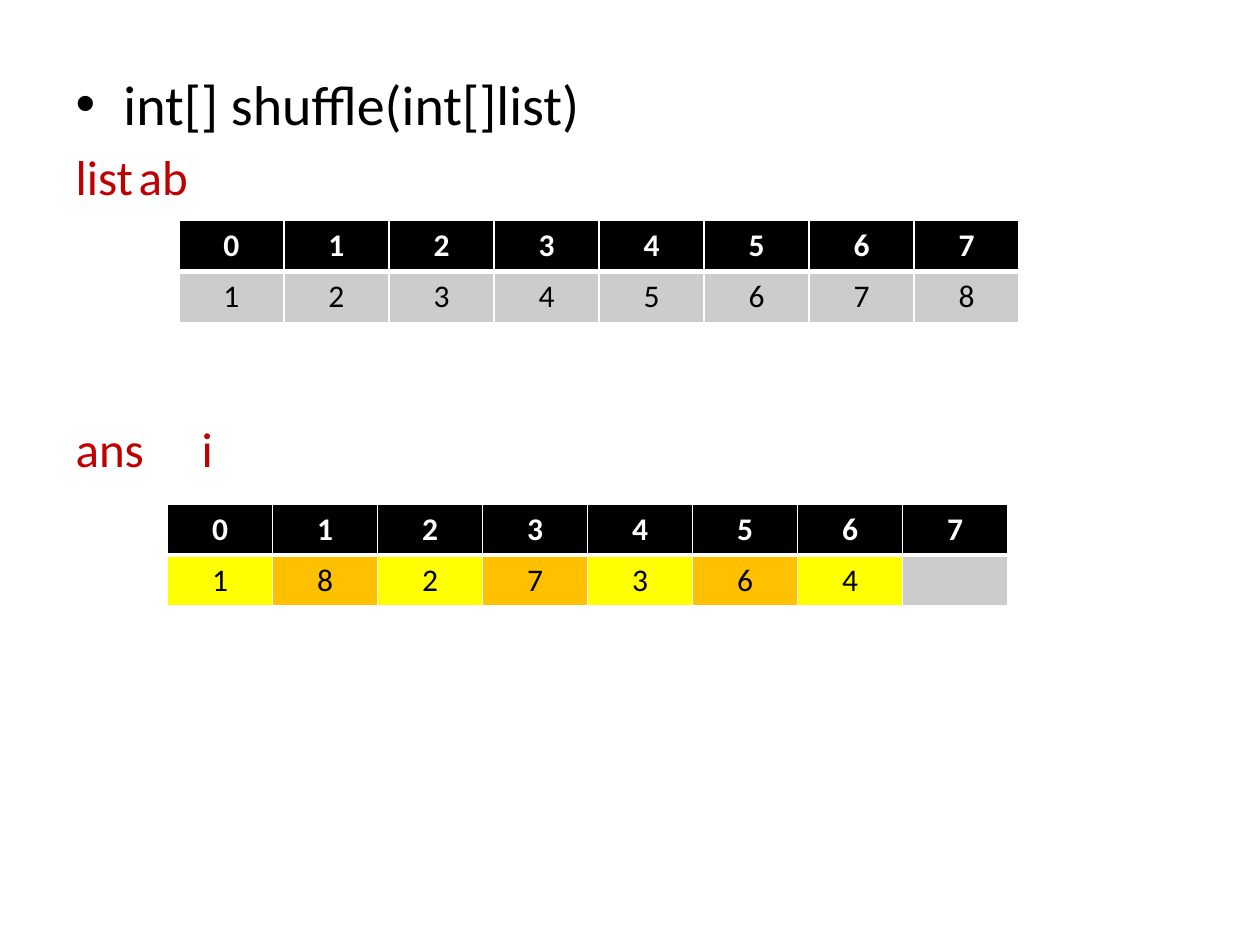
import pptx
import pptx.dml.color
import pptx.enum.text
import pptx.oxml
import pptx.oxml.ns
import pptx.util
from pptx.util import Inches

FONT = "Calibri"
BLACK, WHITE, RED = "000000", "FFFFFF", "C00000"
GREY, YELLOW, ORANGE = "CCCCCC", "FFFF00", "FFC000"


def rgb(hex_colour):
    return pptx.dml.color.RGBColor.from_string(hex_colour)


def add_xml(parent, xml):
    namespaces = pptx.oxml.ns.nsdecls("a")
    parent.append(pptx.oxml.parse_xml(xml.replace(" ", f" {namespaces} ", 1)))


presentation = pptx.Presentation()
presentation.slide_width = Inches(10)
presentation.slide_height = Inches(7.5)
slide = presentation.slides.add_slide(presentation.slide_layouts[1])
unused_title = slide.shapes.title.element
unused_title.getparent().remove(unused_title)

# Method signature and the labels of the two arrays
body = slide.placeholders[1]
body.left, body.top = Inches(0.5), Inches(0.5)
body.width, body.height = Inches(9.08), Inches(6.2)
lines = [
    # text, size, colour, space before, tab stop
    ("int[] shuffle(int[]list)", 32, BLACK, 0, None),
    ("list\tab", 28, RED, 5.6, 4.34),
    ("ans\ti", 28, RED, 122, 6.8),
]
frame = body.text_frame
for number, (text, size, colour, space, tab) in enumerate(lines):
    paragraph = frame.add_paragraph() if number else frame.paragraphs[0]
    properties = paragraph._p.get_or_add_pPr()
    indent = 0 if tab else Inches(0.38)
    properties.set("marL", str(indent))
    properties.set("indent", str(-indent))
    if tab:
        add_xml(properties, "<a:buNone />")
        add_xml(properties, f'<a:tabLst ><a:tab pos="{Inches(tab)}" algn="l"/></a:tabLst>')
    else:
        add_xml(properties, '<a:buFont typeface="Arial"/>')
        add_xml(properties, '<a:buChar char="•"/>')
    paragraph.space_before = pptx.util.Pt(space)
    run = paragraph.add_run()
    run.text = text
    run.font.name = FONT
    run.font.size = pptx.util.Pt(size)
    run.font.color.rgb = rgb(colour)

# Each array: a row of indices above a row of values
arrays = [
    # left, top, values, value fills
    (1.42, 1.75, "12345678", [GREY] * 8),
    (1.33, 4, "1827364", [YELLOW, ORANGE] * 3 + [YELLOW, GREY]),
]
for left, top, values, fills in arrays:
    table = slide.shapes.add_table(
        2, 8, Inches(left), Inches(top), Inches(6.67), Inches(0.81)
    ).table
    for row in table.rows:
        row.height = Inches(0.405)
    for column, fill in enumerate(fills):
        cells = [
            (str(column), BLACK, WHITE, True),
            (values[column:column + 1], fill, BLACK, False),
        ]
        for row, (text, cell_fill, colour, bold) in enumerate(cells):
            cell = table.cell(row, column)
            cell_properties = cell._tc.get_or_add_tcPr()
            for side in "LRTB":
                divider = (row, side) in [(0, "B"), (1, "T")]
                width = pptx.util.Pt(3 if divider else 1)
                add_xml(
                    cell_properties,
                    f'<a:ln{side} w="{width}"><a:solidFill>'
                    f'<a:srgbClr val="{WHITE}"/></a:solidFill></a:ln{side}>',
                )
            cell.fill.solid()
            cell.fill.fore_color.rgb = rgb(cell_fill)
            if not text:
                continue
            paragraph = cell.text_frame.paragraphs[0]
            paragraph.alignment = pptx.enum.text.PP_ALIGN.CENTER
            run = paragraph.add_run()
            run.text = text
            run.font.name = FONT
            run.font.size = pptx.util.Pt(18)
            run.font.bold = bold
            run.font.color.rgb = rgb(colour)

presentation.save("out.pptx")
